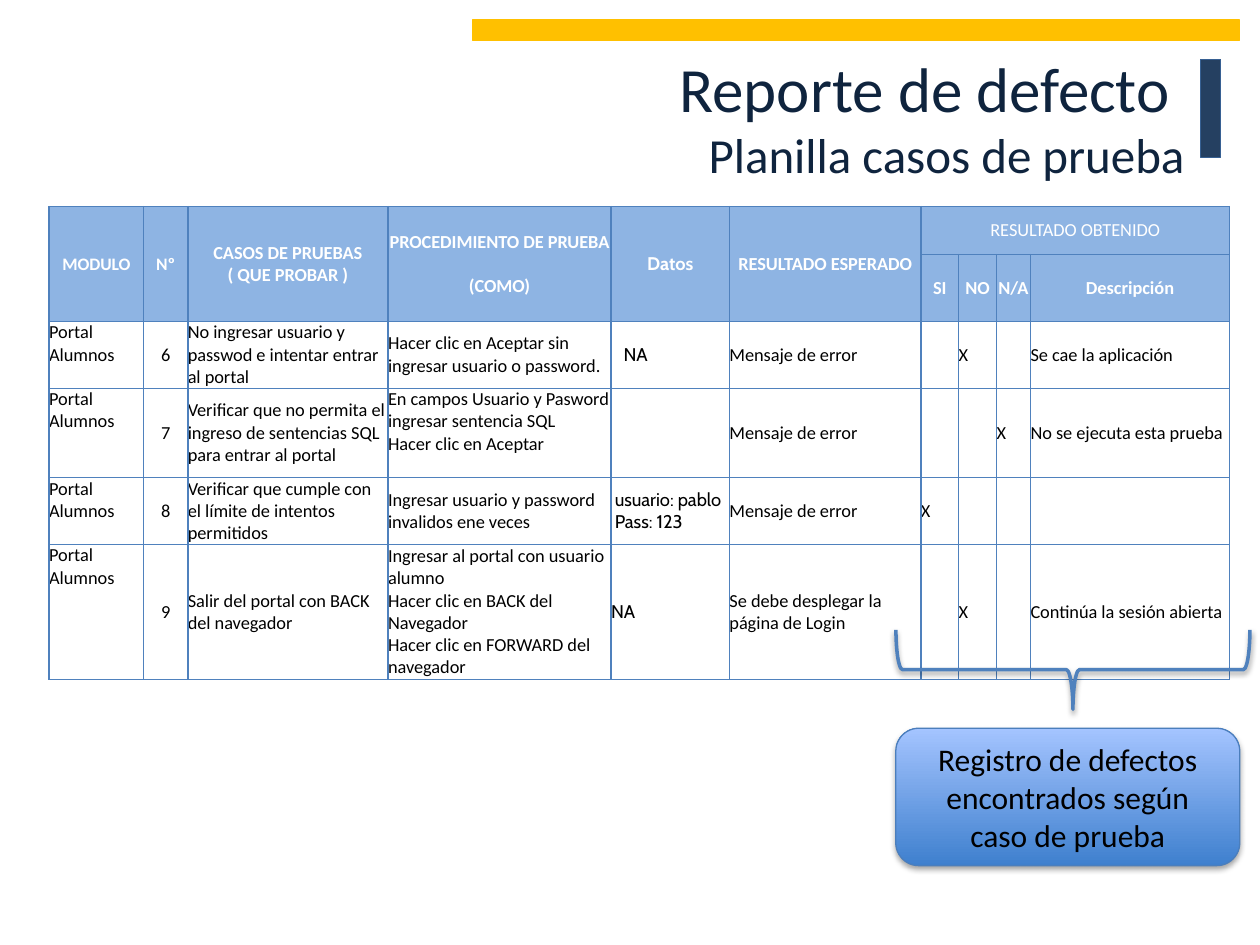
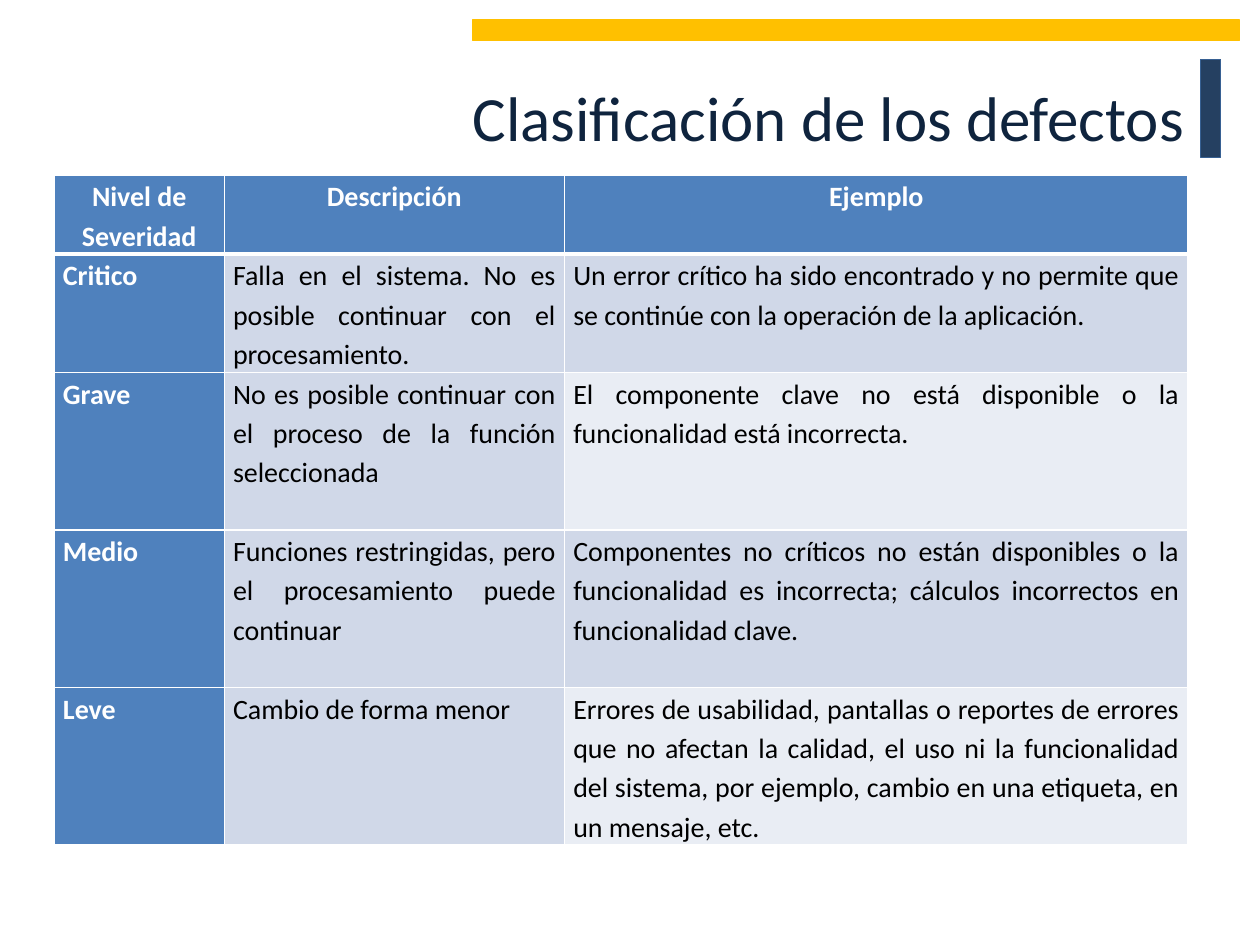
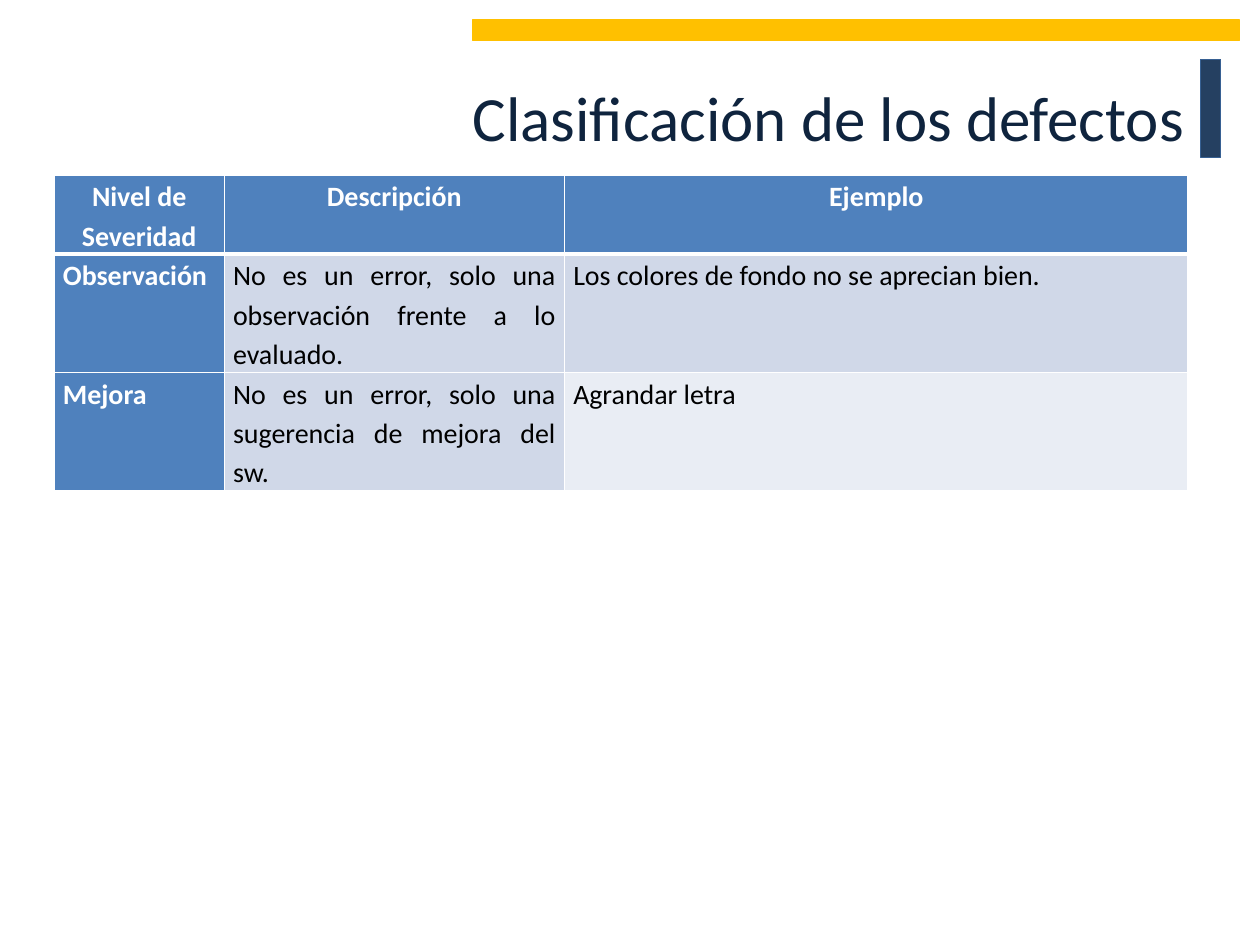
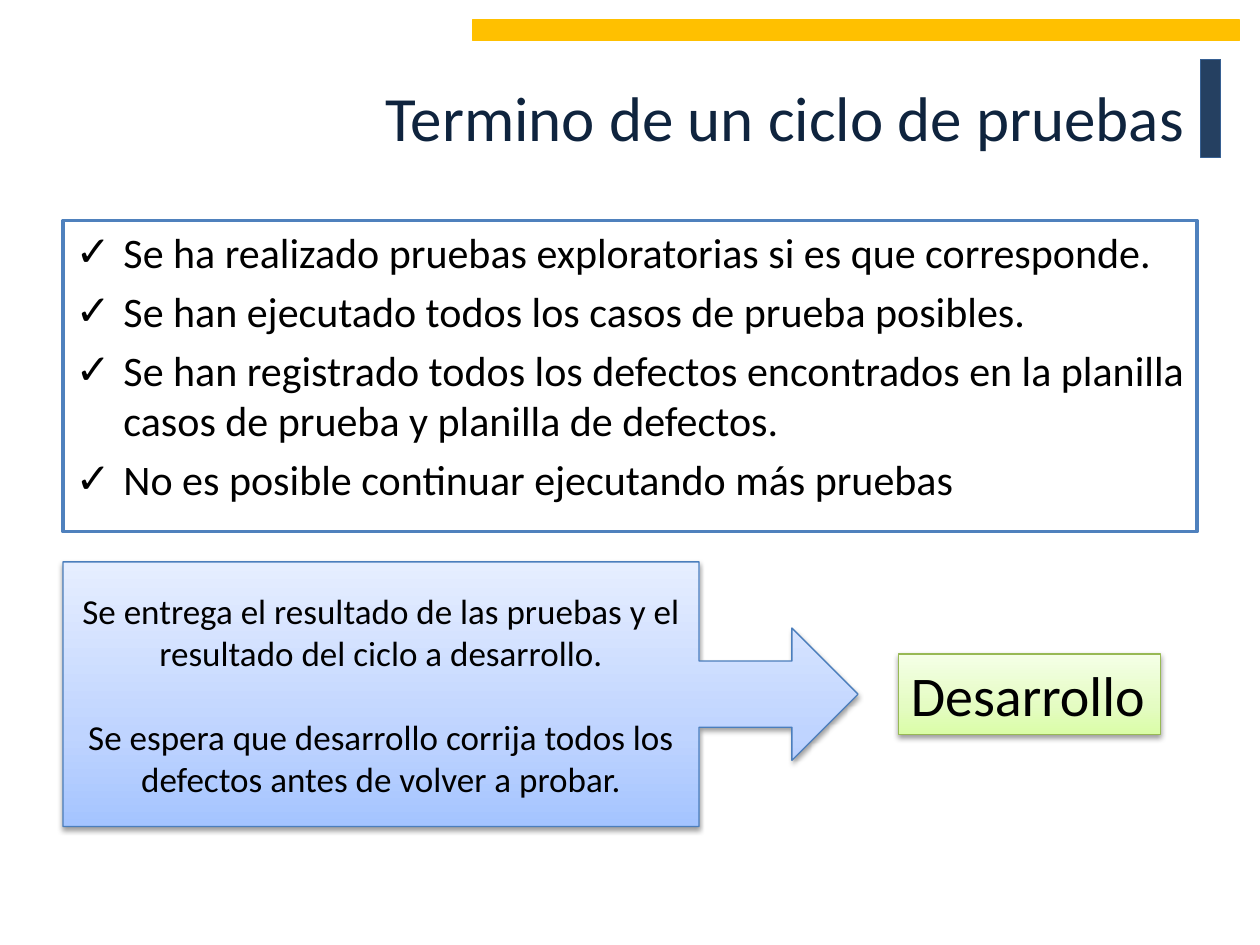
from copy import deepcopy

from lxml import etree
from pptx import Presentation, util as u
from pptx.dml.color import RGBColor
from pptx.enum import shapes, text
from pptx.oxml.ns import qn

PX = u.Inches(1) // 100  # 100 px to the inch

WHITE = RGBColor(0xFF, 0xFF, 0xFF)
BLACK = RGBColor(0x00, 0x00, 0x00)
NAVY = RGBColor(0x0F, 0x24, 0x3E)
DARK_BLUE = RGBColor(0x25, 0x40, 0x61)
EDGE_BLUE = RGBColor(0x37, 0x60, 0x92)
AMBER = RGBColor(0xFF, 0xC0, 0x00)
BLUE = RGBColor(0x4F, 0x81, 0xBD)
CALLOUT_EDGE = RGBColor(0x4B, 0x7E, 0xBC)
GREEN_EDGE = RGBColor(0x98, 0xB9, 0x55)
HEAD_BLUE = RGBColor(0x8E, 0xB4, 0xE3)
BAND_DARK = RGBColor(0xD0, 0xD8, 0xE8)
BAND_LIGHT = RGBColor(0xE9, 0xED, 0xF4)

STRONG_BLUES = ((0, "3F80CE"), (100, "A4C4FF"))
SOFT_BLUES = ((0, "A4C4FF"), (35, "BFD4FF"), (100, "E6EEFF"))
SOFT_GREENS = ((0, "DAFDA7"), (35, "E4FCC2"), (100, "F5FFE7"))

LEFT, CENTER, RIGHT, JUSTIFY = (
    text.PP_ALIGN.LEFT, text.PP_ALIGN.CENTER, text.PP_ALIGN.RIGHT, text.PP_ALIGN.JUSTIFY)
TOP, MIDDLE = text.MSO_ANCHOR.TOP, text.MSO_ANCHOR.MIDDLE

# Content -------------------------------------------------------------------

BANDS = [
    ((953, 47, 16, 78), DARK_BLUE, EDGE_BLUE),
    ((375, 16, 609, 16), AMBER, AMBER),
]
TITLE_BOX = (50, 30, 900, 125)

CASES_TITLE = "Reporte de defecto \vPlanilla casos de prueba"
CASES_HEAD = ["MODULO", "Nº", "CASOS DE PRUEBAS\v( QUE PROBAR )",
              "PROCEDIMIENTO DE PRUEBA \v(COMO)", "Datos", "RESULTADO ESPERADO"]
RESULT_HEAD = "RESULTADO OBTENIDO"
RESULT_COLUMNS = ["SI", "NO", "N/A", "Descripción"]
CASES = [
    ["Portal Alumnos", "6", "No ingresar usuario y passwod e intentar entrar al portal",
     "Hacer clic en Aceptar sin ingresar usuario o password.", "NA",
     "Mensaje de error", "", "X", "", "Se cae la aplicación"],
    ["Portal Alumnos", "7",
     "Verificar que no permita el ingreso de sentencias SQL para entrar al portal",
     "En campos Usuario y Pasword ingresar sentencia SQL\vHacer clic en Aceptar", "",
     "Mensaje de error", "", "", "X", "No se ejecuta esta prueba"],
    ["Portal Alumnos", "8", "Verificar que cumple con el límite de intentos permitidos",
     "Ingresar usuario y password invalidos ene veces", "usuario: pablo\nPass: 123",
     "Mensaje de error", "X", "", "", ""],
    ["Portal Alumnos", "9", "Salir del portal con BACK del navegador",
     "Ingresar al portal con usuario alumno\vHacer clic en BACK del Navegador\v"
     "Hacer clic en FORWARD del navegador", "NA",
     "Se debe desplegar la página de Login", "", "X", "", "Continúa la sesión abierta"],
]
CASES_COLUMNS = [75, 35, 159, 177, 94, 152, 30, 30, 27, 158]
CASES_ROWS = [38, 53, 53, 71, 53, 107]
DATA_COLUMN = 4
DATA_INDENTS = {2: 10, 4: 3}  # table row: px
TOP_CELL = (3, 3)
DEFECT_NOTE = "Registro de defectos encontrados según caso de prueba"

SEVERITY_TITLE = "Clasificación de los defectos"
SEVERITY_HEAD = ("Nivel de Severidad", "Descripción", "Ejemplo")
SEVERITY_COLUMNS = [135, 270, 495]
SEVERITY_PAGES = [
    ([62, 94, 125, 125, 125], [
        ("Critico", "Falla en el sistema. No es posible continuar con el procesamiento.",
         "Un error crítico ha sido encontrado y no permite que se continúe con la "
         "operación de la aplicación."),
        ("Grave", "No es posible continuar con el proceso de la función seleccionada",
         "El componente clave no está disponible o la funcionalidad está incorrecta."),
        ("Medio", "Funciones restringidas, pero el procesamiento puede continuar",
         "Componentes no críticos no están disponibles o la funcionalidad es incorrecta; "
         "cálculos incorrectos en funcionalidad clave."),
        ("Leve", "Cambio de forma menor",
         "Errores de usabilidad, pantallas o reportes de errores que no afectan la calidad, "
         "el uso ni la funcionalidad del sistema, por ejemplo, cambio en una etiqueta, en un "
         "mensaje, etc."),
    ]),
    ([62, 94, 94], [
        ("Observación", "No es un error, solo una observación frente a lo evaluado.",
         "Los colores de fondo no se aprecian bien."),
        ("Mejora", "No es un error, solo una sugerencia de mejora del sw.",
         "Agrandar letra"),
    ]),
]

CLOSING_TITLE = "Termino de un ciclo de pruebas"
CLOSING_CHECKS = [
    "Se ha realizado pruebas exploratorias si es que corresponde.",
    "Se han ejecutado todos los casos de prueba posibles.",
    "Se han registrado todos los defectos encontrados en la planilla casos de prueba y "
    "planilla de defectos.",
    "No es posible continuar ejecutando más pruebas",
]
HANDOVER = [
    "Se entrega el resultado de las pruebas y el resultado del ciclo a desarrollo.",
    "Se espera que desarrollo corrija todos los defectos antes de volver a probar.",
]
RECEIVER = "Desarrollo"


# Building blocks -----------------------------------------------------------

def scaled(box):
    return [n * PX for n in box]


def apply(target, values):
    for name, value in values.items():
        setattr(target, name, value)


def write(frame, words, size, color=BLACK, bold=False, name="Calibri", **paragraph_format):
    """Fill a text frame; line breaks take the size of the run before them."""
    frame.text = words
    for paragraph in frame.paragraphs:
        apply(paragraph, paragraph_format)
        for run in paragraph.runs:
            apply(run.font, {"size": u.Pt(size), "bold": bold, "name": name})
            run.font.color.rgb = color
        for line_break in paragraph._p.findall(qn("a:br")):
            line_break.append(deepcopy(paragraph.runs[0]._r.rPr))


def add_outlined(slide, preset, box, line, width=0.75):
    shape = slide.shapes.add_shape(preset, *scaled(box))
    shape.shadow.inherit = False
    shape.line.color.rgb = line
    shape.line.width = u.Pt(width)
    return shape


def drop_shadow(shape, distance=20000, opacity=38):
    effects = shape.element.spPr.find(qn("a:effectLst"))
    shadow = etree.SubElement(effects, qn("a:outerShdw"), blurRad="40000",
                              dist=str(distance), dir="5400000", rotWithShape="0")
    black = etree.SubElement(shadow, qn("a:srgbClr"), val="000000")
    etree.SubElement(black, qn("a:alpha"), val=str(opacity * 1000))


def shade_upward(shape, stops):
    shape.fill.gradient()
    shape.fill.gradient_angle = 90
    stop_list = shape.element.spPr.find(".//" + qn("a:gsLst"))
    stop_list.clear()
    for percent, color in stops:
        stop = etree.SubElement(stop_list, qn("a:gs"), pos=str(percent * 1000))
        etree.SubElement(stop, qn("a:srgbClr"), val=color)


def border(cell, color, top=1, bottom=1):
    widths = {"a:lnL": 1, "a:lnR": 1, "a:lnT": top, "a:lnB": bottom}
    properties = cell._tc.get_or_add_tcPr()
    for place, (side, width) in enumerate(widths.items()):
        line = etree.Element(qn(side), w=str(u.Pt(width)))
        fill = etree.SubElement(line, qn("a:solidFill"))
        etree.SubElement(fill, qn("a:srgbClr"), val=str(color))
        properties.insert(place, line)


def add_grid(slide, left, top, columns, rows, side_margin):
    box = (left, top, sum(columns), sum(rows))
    table = slide.shapes.add_table(len(rows), len(columns), *scaled(box)).table
    apply(table, {"first_row": False, "horz_banding": False})
    for column, width in zip(table.columns, columns):
        column.width = width * PX
    for row, height in zip(table.rows, rows):
        row.height = height * PX
    for cell in table.iter_cells():
        apply(cell, {"margin_left": side_margin * PX, "margin_right": side_margin * PX,
                     "margin_top": 0, "margin_bottom": 0})
    return table


def paint(cell, color):
    cell.fill.solid()
    cell.fill.fore_color.rgb = color


def add_titled_slide(deck, layout, title):
    slide = deck.slides.add_slide(deck.slide_layouts[layout])
    place(slide.shapes.title, TITLE_BOX)
    frame = slide.shapes.title.text_frame
    apply(frame, {"vertical_anchor": MIDDLE, "auto_size": text.MSO_AUTO_SIZE.NONE})
    write(frame, title, 36, NAVY, alignment=RIGHT)
    return slide


def place(shape, box):
    apply(shape, dict(zip(("left", "top", "width", "height"), scaled(box))))


def move_bands_to_master(deck, slide):
    """Draw the bands on a slide, then hand them to the master for all slides."""
    for box, fill, line in BANDS:
        band = add_outlined(slide, shapes.MSO_SHAPE.RECTANGLE, box, line)
        band.fill.solid()
        band.fill.fore_color.rgb = fill
        deck.slide_master.shapes.element.insert(2, band.element)


# Slides --------------------------------------------------------------------

def fill_cases_head(table):
    for col, heading in enumerate(CASES_HEAD):
        table.cell(0, col).merge(table.cell(1, col))
        write(table.cell(0, col).text_frame, heading, 10 if col < 2 else 10.5, WHITE, True,
              "Cabin" if col == DATA_COLUMN else "Calibri", alignment=CENTER)
    first = len(CASES_HEAD)
    table.cell(0, first).merge(table.cell(0, len(CASES_COLUMNS) - 1))
    write(table.cell(0, first).text_frame, RESULT_HEAD, 10.5, WHITE, alignment=CENTER)
    for col, heading in enumerate(RESULT_COLUMNS, first):
        write(table.cell(1, col).text_frame, heading, 10.5, WHITE, True, alignment=CENTER)


def add_cases_slide(deck):
    slide = add_titled_slide(deck, 5, CASES_TITLE)
    slide.shapes.title.text_frame.paragraphs[0].runs[1].font.size = u.Pt(28)
    move_bands_to_master(deck, slide)

    table = add_grid(slide, 39, 164, CASES_COLUMNS, CASES_ROWS, 0)
    fill_cases_head(table)
    for row, case in enumerate(CASES, 2):
        for col, words in enumerate(case):
            write(table.cell(row, col).text_frame, words, 10.5,
                  name="Cabin" if col == DATA_COLUMN else "Calibri",
                  alignment=CENTER if col == 1 else LEFT)
    for row in range(len(CASES_ROWS)):
        for col in range(len(CASES_COLUMNS)):
            cell = table.cell(row, col)
            at_top = (row > 1 and col == 0) or (row, col) == TOP_CELL
            cell.vertical_anchor = TOP if at_top else MIDDLE
            if row < 2:
                paint(cell, HEAD_BLUE)
            else:
                cell.fill.background()
            border(cell, BLUE)
    for row, indent in DATA_INDENTS.items():
        table.cell(row, DATA_COLUMN).margin_left = indent * PX

    brace = add_outlined(slide, shapes.MSO_SHAPE.RIGHT_BRACE, (820, 391, 63, 281), BLUE, 2)
    brace.rotation = 90
    brace.fill.background()
    drop_shadow(brace)

    note = add_outlined(slide, shapes.MSO_SHAPE.ROUNDED_RECTANGLE, (711, 578, 273, 109),
                        CALLOUT_EDGE)
    shade_upward(note, STRONG_BLUES)
    drop_shadow(note, 23000, 35)
    write(note.text_frame, DEFECT_NOTE, 18, alignment=CENTER)


def add_severity_slide(deck, heights, levels):
    slide = add_titled_slide(deck, 5, SEVERITY_TITLE)
    table = add_grid(slide, 43, 139, SEVERITY_COLUMNS, heights, 7)
    for row, level in enumerate([SEVERITY_HEAD, *levels]):
        for col, words in enumerate(level):
            cell = table.cell(row, col)
            is_head = row == 0 or col == 0
            write(cell.text_frame, words, 16, WHITE if is_head else BLACK, is_head,
                  alignment=JUSTIFY if row else CENTER, line_spacing=1.15)
            if is_head:
                paint(cell, BLUE)
            else:
                paint(cell, BAND_LIGHT if col == 2 and row % 2 == 0 else BAND_DARK)
            border(cell, WHITE, top=3 if row == 1 else 1, bottom=1 if row else 3)


def add_closing_slide(deck):
    slide = add_titled_slide(deck, 1, CLOSING_TITLE)
    checks = slide.placeholders[1]
    place(checks, (50, 175, 900, 247))
    checks.line.color.rgb = BLUE
    checks.line.width = u.Pt(2)
    apply(checks.text_frame, {"margin_right": 5 * PX, "auto_size": text.MSO_AUTO_SIZE.NONE})
    write(checks.text_frame, "\n".join(CLOSING_CHECKS), 24)
    for paragraph in checks.text_frame.paragraphs:
        properties = paragraph._p.get_or_add_pPr()
        properties.set("marL", str(38 * PX))
        properties.set("indent", str(-38 * PX))
        etree.SubElement(properties, qn("a:buChar"), char="✓")

    receiver = add_outlined(slide, shapes.MSO_SHAPE.RECTANGLE, (713, 519, 208, 64), GREEN_EDGE)
    shade_upward(receiver, SOFT_GREENS)
    drop_shadow(receiver)
    apply(receiver.text_frame, {"word_wrap": False, "vertical_anchor": TOP,
                                "auto_size": text.MSO_AUTO_SIZE.SHAPE_TO_FIT_TEXT})
    write(receiver.text_frame, RECEIVER, 32, alignment=LEFT)

    handover = add_outlined(slide, shapes.MSO_SHAPE.RIGHT_ARROW_CALLOUT, (50, 446, 631, 210),
                            CALLOUT_EDGE)
    for index, share in enumerate((0.25, 0.25, 0.25, 0.8)):
        handover.adjustments[index] = share
    shade_upward(handover, SOFT_BLUES)
    drop_shadow(handover)
    write(handover.text_frame, "\n".join(HANDOVER), 20, alignment=CENTER)
    handover.text_frame.paragraphs[1].space_before = u.Pt(24)


def main():
    deck = Presentation()
    deck.slide_width, deck.slide_height = scaled((1000, 750))
    add_cases_slide(deck)
    for heights, levels in SEVERITY_PAGES:
        add_severity_slide(deck, heights, levels)
    add_closing_slide(deck)
    deck.save("out.pptx")


if __name__ == "__main__":
    main()
